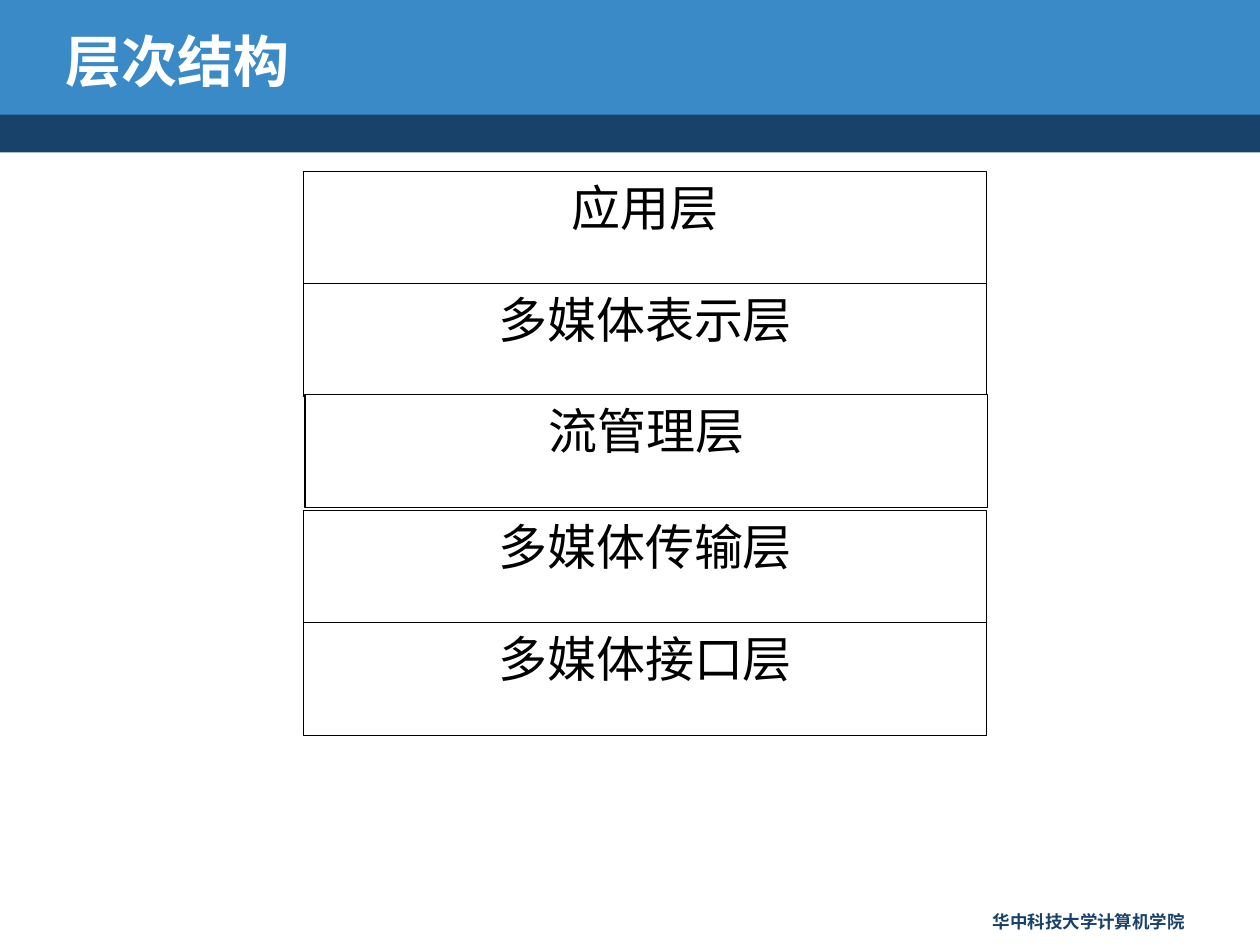
from lxml import etree
from pptx import Presentation
from pptx.dml.color import RGBColor
from pptx.enum.shapes import MSO_SHAPE
from pptx.enum.text import MSO_ANCHOR, MSO_AUTO_SIZE, PP_ALIGN
from pptx.oxml.ns import qn
from pptx.util import Inches, Pt

RECTANGLE = MSO_SHAPE.RECTANGLE
LEFT, CENTER, RIGHT = PP_ALIGN.LEFT, PP_ALIGN.CENTER, PP_ALIGN.RIGHT
TOP, MIDDLE = MSO_ANCHOR.TOP, MSO_ANCHOR.MIDDLE
NO_AUTOFIT = MSO_AUTO_SIZE.NONE

WHITE = RGBColor(0xFF, 0xFF, 0xFF)
BLACK = RGBColor(0x00, 0x00, 0x00)
BLUE = RGBColor(0x39, 0x8A, 0xC7)
NAVY = RGBColor(0x19, 0x42, 0x6B)

HEADING_FONT = "Noto Sans CJK SC"
LAYER_FONT = "Times New Roman"

# Each layer: label, left, top
LAYERS = [
    ("应用层", 2.41, 1.36),
    ("多媒体表示层", 2.41, 2.25),
    ("流管理层", 2.42, 3.13),
    ("多媒体传输层", 2.41, 4.05),
    ("多媒体接口层", 2.41, 4.94),
]
LAYER_WIDTH, LAYER_HEIGHT = 5.42, 0.9


class SlideBuilder:
    def __init__(self, slide):
        self.slide = slide

    def set_text(self, shape, text, size, color, font_name, align, anchor, bold=False):
        frame = shape.text_frame
        frame.text = text
        frame.word_wrap = True
        frame.auto_size = NO_AUTOFIT
        frame.vertical_anchor = anchor
        paragraph = frame.paragraphs[0]
        paragraph.alignment = align
        run = paragraph.runs[0]
        run.font.size = Pt(size)
        run.font.bold = bold
        run.font.color.rgb = color
        run.font.name = font_name
        # Chinese characters use the East Asian font slot
        east_asian = etree.SubElement(run.font._element, qn("a:ea"))
        east_asian.set("typeface", HEADING_FONT)

    def rectangle(self, shapes, left, top, width, height, fill):
        box = shapes.add_shape(RECTANGLE, Inches(left), Inches(top),
                               Inches(width), Inches(height))
        box.shadow.inherit = False
        box.fill.solid()
        box.fill.fore_color.rgb = fill
        return box

    def band(self, top, height, fill):
        band = self.rectangle(self.slide.shapes, 0, top, 10, height, fill)
        band.line.fill.background()
        # Keep the band behind the title
        title = self.slide.shapes.title.element
        title.addprevious(band.element)

    def title(self, text, left, top, width, height):
        title = self.slide.shapes.title
        title.left, title.top = Inches(left), Inches(top)
        title.width, title.height = Inches(width), Inches(height)
        self.set_text(title, text, 32, WHITE, HEADING_FONT, LEFT, MIDDLE, bold=True)

    def footer(self, text, left, top, width, height):
        footer = self.slide.shapes.add_textbox(Inches(left), Inches(top),
                                               Inches(width), Inches(height))
        self.set_text(footer, text, 10, NAVY, HEADING_FONT, RIGHT, TOP, bold=True)

    def layer_stack(self, layers):
        stack = self.slide.shapes.add_group_shape()
        for label, left, top in layers:
            layer = self.rectangle(stack.shapes, left, top,
                                   LAYER_WIDTH, LAYER_HEIGHT, WHITE)
            layer.line.color.rgb = BLACK
            layer.line.width = Pt(0.75)
            self.set_text(layer, label, 28, BLACK, LAYER_FONT, CENTER, TOP)


def main():
    deck = Presentation()
    deck.slide_width, deck.slide_height = Inches(10), Inches(7.5)
    title_only = deck.slide_layouts[5]
    builder = SlideBuilder(deck.slides.add_slide(title_only))

    # Header
    builder.band(0.87, 0.34, NAVY)
    builder.band(0, 0.91, BLUE)
    builder.title("层次结构", 0.42, 0.17, 8.08, 0.62)

    # Footer
    builder.footer("华中科技大学计算机学院", 6.92, 7.18, 2.58, 0.27)

    # Layer diagram
    builder.layer_stack(LAYERS)

    deck.save("out.pptx")


if __name__ == "__main__":
    main()
